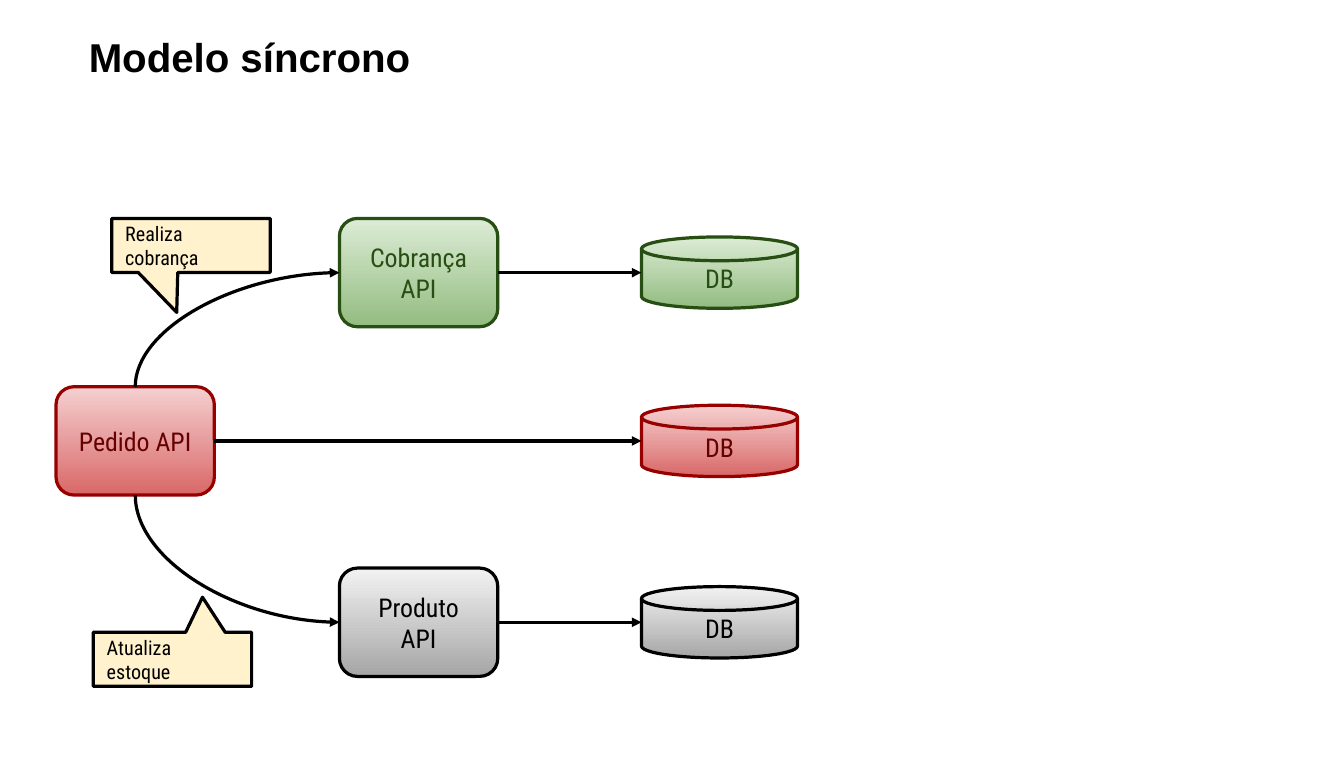
from dataclasses import dataclass

from lxml import etree
from pptx import Presentation
from pptx.dml.color import RGBColor
from pptx.enum.shapes import MSO_CONNECTOR, MSO_SHAPE
from pptx.enum.text import MSO_ANCHOR, PP_ALIGN
from pptx.oxml.ns import qn
from pptx.util import Pt

ROUNDED = MSO_SHAPE.ROUNDED_RECTANGLE
DISK = MSO_SHAPE.FLOWCHART_MAGNETIC_DISK
CALLOUT = MSO_SHAPE.ROUNDED_RECTANGULAR_CALLOUT
STRAIGHT = MSO_CONNECTOR.STRAIGHT
CURVE = MSO_CONNECTOR.CURVE
CENTER = PP_ALIGN.CENTER
LEFT = PP_ALIGN.LEFT
MIDDLE = MSO_ANCHOR.MIDDLE
RIGHT_SITE = 3


@dataclass(frozen=True)
class Palette:
    fills: tuple
    line: str
    text: str


@dataclass(frozen=True)
class Theme:
    red = Palette(("F5D0D0", "D96868"), "980000", "660000")
    green = Palette(("DCECD5", "93BC81"), "274E13", "274E13")
    gray = Palette(("F2F2F2", "A6A6A6"), "000000", "000000")
    note = Palette(("FFF2CC",), "000000", "000000")
    ink = "000000"
    title_font = "Arial"
    body_font = "Roboto Condensed"
    title_size = 28
    label_size = 18
    note_size = 14
    stroke = 2.25
    inset = 9.36


THEME = Theme()
API_SIZE = (110.2, 75.4)
DB_SIZE = (108.6, 49.7)
NOTE_SIZE = (110.2, 37.6)
ORDER_LEFT, SERVICE_LEFT, DB_LEFT = 39, 236.2, 446.4


def color(value):
    return RGBColor.from_string(value)


def write(frame, text, font, size, ink, align=LEFT, bold=False):
    frame.word_wrap = True
    para = frame.paragraphs[0]
    para.text = text
    para.alignment = align
    para.font.name = font
    para.font.size = Pt(size)
    para.font.bold = bold
    para.font.color.rgb = color(ink)


def add_title(page, box, text):
    title = page.shapes.add_textbox(*map(Pt, box))
    write(title.text_frame, text, THEME.title_font, THEME.title_size,
          THEME.ink, bold=True)


def add_block(page, kind, box, text, palette, size, align=CENTER):
    block = page.shapes.add_shape(kind, *map(Pt, box))
    block.shadow.inherit = False
    if len(palette.fills) == 1:
        block.fill.solid()
        block.fill.fore_color.rgb = color(palette.fills[0])
    else:
        block.fill.gradient()
        block.fill.gradient_angle = 270
        for stop, value in zip(block.fill.gradient_stops, palette.fills):
            stop.color.rgb = color(value)
    block.line.color.rgb = color(palette.line)
    block.line.width = Pt(THEME.stroke)
    frame = block.text_frame
    frame.margin_left = frame.margin_right = Pt(THEME.inset)
    frame.margin_top = frame.margin_bottom = Pt(THEME.inset)
    frame.vertical_anchor = MIDDLE
    write(frame, text, THEME.body_font, size, palette.text, align)
    return block


def add_note(page, box, text, pointer):
    note = add_block(page, CALLOUT, box, text, THEME.note, THEME.note_size, LEFT)
    for index, value in enumerate((*pointer, 0)):
        note.adjustments[index] = value


def add_arrow(page, kind, start, end):
    arrow = page.shapes.add_connector(kind, *map(Pt, (*start, *end)))
    arrow.line.color.rgb = color(THEME.ink)
    arrow.line.width = Pt(THEME.stroke)
    etree.SubElement(arrow.line._get_or_add_ln(), qn("a:tailEnd"), type="triangle")
    etree.SubElement(arrow._element.spPr, qn("a:effectLst"))
    return arrow


def add_bend(page, start, end):
    run, rise = end[0] - start[0], start[1] - end[1]
    middle_x, middle_y = (start[0] + end[0]) / 2, (start[1] + end[1]) / 2
    bend = add_arrow(page, CURVE,
                     (middle_x - rise / 2, middle_y - run / 2),
                     (middle_x + rise / 2, middle_y + run / 2))
    properties = bend._element.spPr
    properties.find(qn("a:xfrm")).set("rot", "16200000")
    properties.find(qn("a:prstGeom")).set("prst", "curvedConnector2")


def add_service(page, left, middle, name, palette):
    width, height = API_SIZE
    api = add_block(page, ROUNDED, (left, middle - height / 2, width, height),
                    name, palette, THEME.label_size)
    width, height = DB_SIZE
    add_block(page, DISK, (DB_LEFT, middle - height / 2, width, height),
              "DB", palette, THEME.label_size)
    arrow = add_arrow(page, STRAIGHT, (left + API_SIZE[0], middle), (DB_LEFT, middle))
    arrow.begin_connect(api, RIGHT_SITE)


def add_diagram(page, box):
    left, top, width, height = box
    service_rows = (top + API_SIZE[1] / 2, top + height - API_SIZE[1] / 2)
    order_row = top + 154.8
    add_service(page, left, order_row, "Pedido API", THEME.red)
    add_service(page, SERVICE_LEFT, service_rows[0], "Cobrança API", THEME.green)
    add_service(page, SERVICE_LEFT, service_rows[1], "Produto API", THEME.gray)
    for row, side in zip(service_rows, (-1, 1)):
        start = (left + API_SIZE[0] / 2, order_row + side * API_SIZE[1] / 2)
        add_bend(page, start, (SERVICE_LEFT, row))
    add_note(page, (left + 38.8, top, *NOTE_SIZE), "Realiza cobrança", (-0.09, 1.24))
    add_note(page, (left + 25.9, top + 288, *NOTE_SIZE), "Atualiza estoque",
             (0.19, -1.15))


def main():
    deck = Presentation()
    deck.slide_width, deck.slide_height = Pt(935.28), Pt(538.56)
    page = deck.slides.add_slide(deck.slide_layouts[6])
    add_diagram(page, (ORDER_LEFT, 152, 516, 318.7))
    add_title(page, (54.7, 18.7, 877, 41), "Modelo síncrono")
    deck.save("out.pptx")


if __name__ == "__main__":
    main()
